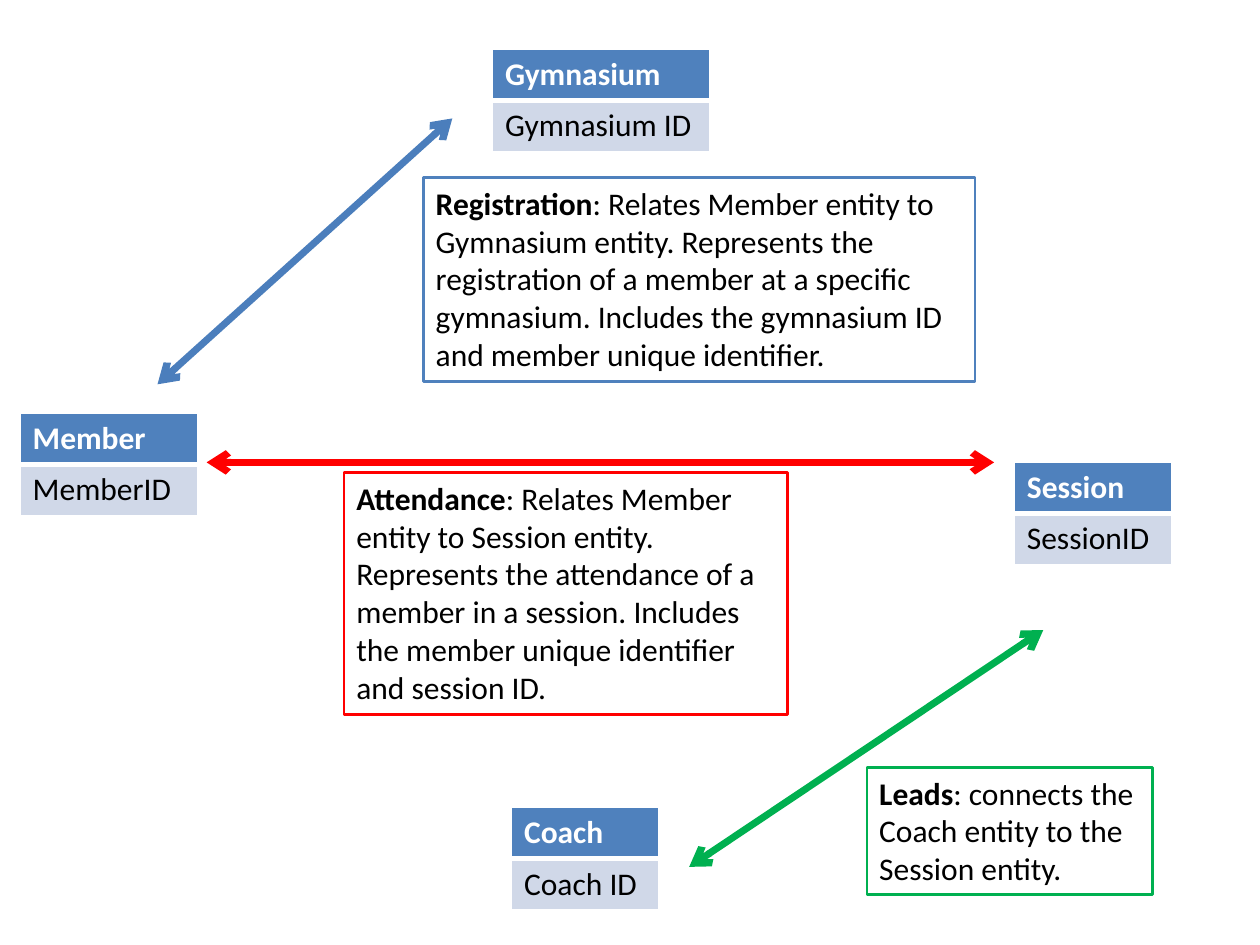
from dataclasses import dataclass

from lxml import etree
from pptx import Presentation
from pptx.dml.color import RGBColor
from pptx.enum.shapes import MSO_CONNECTOR
from pptx.enum.text import MSO_AUTO_SIZE
from pptx.oxml.ns import qn
from pptx.util import Emu, Pt

STRAIGHT = MSO_CONNECTOR.STRAIGHT
GROW = MSO_AUTO_SIZE.SHAPE_TO_FIT_TEXT
PX = 9144  # 100 px to the inch


@dataclass(frozen=True)
class Theme:
    font: str = "Calibri"
    size: int = 18
    blue: str = "4F81BD"
    steel: str = "4B7EBC"
    pale: str = "D0D8E8"
    red: str = "FF0000"
    green: str = "00B050"
    black: str = "000000"
    white: str = "FFFFFF"


class Board:
    def __init__(self, slide, theme):
        self.slide = slide
        self.theme = theme

    def px(self, *nums):
        return [Emu(n * PX) for n in nums]

    def style(self, run, color, bold):
        font = run.font
        font.name, font.size, font.bold = self.theme.font, Pt(self.theme.size), bold
        font.color.rgb = RGBColor.from_string(color)

    def border(self, cell, widths):
        props = cell._tc.get_or_add_tcPr()
        for spot, (side, width) in enumerate(widths.items()):
            line = etree.Element(qn(f"a:ln{side}"), w=str(Pt(width)))
            fill = etree.SubElement(line, qn("a:solidFill"))
            etree.SubElement(fill, qn("a:srgbClr"), val=self.theme.white)
            props.insert(spot, line)

    def entity(self, name, key, left, top, width, height=81):
        """A two-row table: the entity name above its key."""
        t = self.theme
        table = self.slide.shapes.add_table(
            2, 1, *self.px(left, top, width, height)).table
        rows = ((name, t.blue, t.white, True, 1, 3),
                (key, t.pale, t.black, False, 3, 1))
        for row, (text, fill, color, bold, above, below) in enumerate(rows):
            cell = table.cell(row, 0)
            cell.text_frame.text = text
            self.style(cell.text_frame.paragraphs[0].runs[0], color, bold)
            cell.fill.solid()
            cell.fill.fore_color.rgb = RGBColor.from_string(fill)
            self.border(cell, {"L": 1, "R": 1, "T": above, "B": below})

    def note(self, name, text, color, left, top, width, height):
        """An outlined box that explains one relation."""
        box = self.slide.shapes.add_textbox(*self.px(left, top, width, height))
        box.line.color.rgb = RGBColor.from_string(color)
        box.line.width = Pt(1.5)
        frame = box.text_frame
        frame.word_wrap = True
        frame.auto_size = GROW
        frame.text = name
        para = frame.paragraphs[0]
        self.style(para.runs[0], self.theme.black, True)
        rest = para.add_run()
        rest.text = f": {text}"
        self.style(rest, self.theme.black, False)

    def arrow(self, color, *ends):
        """A straight line with an open arrowhead at both ends."""
        link = self.slide.shapes.add_connector(STRAIGHT, *self.px(*ends))
        link.line.color.rgb = RGBColor.from_string(color)
        link.line.width = Pt(4)
        line = link.line._get_or_add_ln()
        for end in ("a:headEnd", "a:tailEnd"):
            etree.SubElement(line, qn(end), type="arrow")
        etree.SubElement(link._element.spPr, qn("a:effectLst"))


def main():
    deck = Presentation()
    deck.slide_width, deck.slide_height = Emu(1000 * PX), Emu(750 * PX)
    theme = Theme()
    board = Board(deck.slides.add_slide(deck.slide_layouts[6]), theme)

    # Entities
    board.entity("Coach", "Coach ID", 406, 641, 117)
    board.entity("Gymnasium", "Gymnasium ID", 391, 39, 172)
    board.entity("Member", "MemberID", 16, 328, 141)
    board.entity("Session", "SessionID", 805, 367, 125)

    # Relations
    board.note("Registration",
               "Relates Member entity to Gymnasium entity. Represents the "
               "registration of a member at a specific gymnasium. Includes "
               "the gymnasium ID and member unique identifier.",
               theme.blue, 336, 141, 438, 162)
    board.note("Attendance",
               "Relates Member entity to Session entity. Represents the "
               "attendance of a member in a session. Includes the member "
               "unique identifier and session ID.",
               theme.red, 273, 375, 352, 192)
    board.note("Leads", "connects the Coach entity to the Session entity.",
               theme.green, 688, 609, 227, 101)

    # Links between entities
    board.arrow(theme.steel, 359, 94, 125, 305)
    board.arrow(theme.green, 828, 500, 547, 688)
    board.arrow(theme.red, 789, 367, 164, 367)

    deck.save("out.pptx")


if __name__ == "__main__":
    main()
